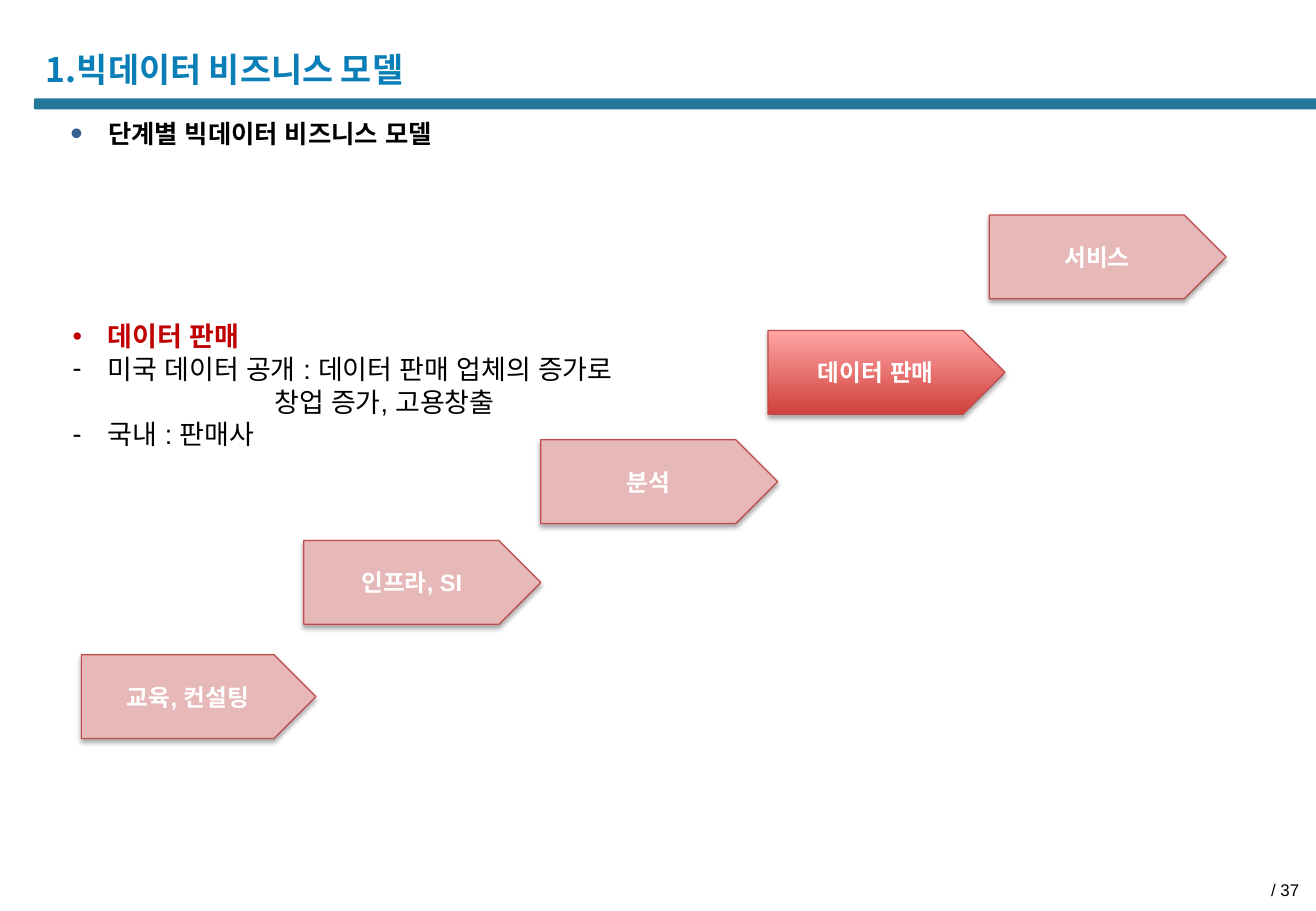
from lxml.etree import SubElement
from pptx import Presentation
from pptx.dml.color import RGBColor
from pptx.enum.shapes import MSO_SHAPE
from pptx.enum.text import MSO_ANCHOR, PP_ALIGN
from pptx.oxml.ns import qn
from pptx.util import Pt

PX = 9144
TITLE_BLUE = RGBColor(0x0A, 0x7F, 0xB7)
BAR_BLUE = RGBColor(0x22, 0x77, 0x9B)
BULLET_BLUE = RGBColor(0x37, 0x60, 0x92)
BLACK = RGBColor(0, 0, 0)
WHITE = RGBColor(0xFF, 0xFF, 0xFF)
RED = RGBColor(0xC0, 0, 0)
PALE_RED = RGBColor(0xE6, 0xB9, 0xB8)
EDGE_RED = RGBColor(0xBF, 0x4C, 0x48)
DEEP_RED = RGBColor(0xD1, 0x40, 0x3C)
LIGHT_RED = RGBColor(0xFF, 0xA6, 0xA5)


class Deck:
    font = "Arial"
    title_font = "Noto Sans CJK KR"

    def __init__(self, width, height):
        self.prs = Presentation()
        self.prs.slide_width = width * PX
        self.prs.slide_height = height * PX
        self.s = self.prs.slides.add_slide(self.prs.slide_layouts[6])

    def style(self, p, size, color, bold=False, font=None):
        for r in p.runs:
            r.font.size = Pt(size)
            r.font.bold = bold
            r.font.color.rgb = color
            r.font.name = font or self.font
            SubElement(r.font._element, qn("a:ea"), typeface=font or self.font)

    def bullet(self, p, char, margin, hang, color=None, percent=100):
        pPr = p._p.get_or_add_pPr()
        pPr.set("marL", str(margin * PX))
        pPr.set("indent", str(-hang * PX))
        if not char:
            SubElement(pPr, qn("a:buNone"))
            return
        if color is not None:
            SubElement(SubElement(pPr, qn("a:buClr")), qn("a:srgbClr"), val=str(color))
        SubElement(pPr, qn("a:buSzPct"), val=str(percent * 1000))
        SubElement(pPr, qn("a:buFont"), typeface=self.font)
        SubElement(pPr, qn("a:buChar"), char=char)

    def box(self, x, y, w, h, inset=(10, 5), anchor=MSO_ANCHOR.TOP):
        tf = self.s.shapes.add_textbox(x * PX, y * PX, w * PX, h * PX).text_frame
        tf.word_wrap = True
        tf.vertical_anchor = anchor
        tf.margin_left = tf.margin_right = inset[0] * PX
        tf.margin_top = tf.margin_bottom = inset[1] * PX
        return tf

    def text(self, x, y, w, h, text, size, color, bold=False, font=None,
             align=PP_ALIGN.LEFT, **frame):
        p = self.box(x, y, w, h, **frame).paragraphs[0]
        p.text = text
        p.alignment = align
        self.style(p, size, color, bold, font)
        return p

    def bullets(self, x, y, w, h, rows, size, spacing):
        tf = self.box(x, y, w, h)
        tf.text = "\n".join(row[0] for row in rows)
        for p, (_, char, margin, hang, color, bold) in zip(tf.paragraphs, rows):
            p.line_spacing = Pt(spacing)
            self.bullet(p, char, margin, hang)
            self.style(p, size, color, bold)

    def bar(self, x, y, w, h):
        sp = self.s.shapes.add_shape(MSO_SHAPE.ROUNDED_RECTANGLE, x * PX, y * PX, w * PX, h * PX)
        sp.adjustments[0] = 0.13
        sp.shadow.inherit = False
        sp.fill.solid()
        sp.fill.fore_color.rgb = BAR_BLUE
        sp.line.fill.background()

    def step(self, x, y, w, h, label, active):
        sp = self.s.shapes.add_shape(MSO_SHAPE.PENTAGON, x * PX, y * PX, w * PX, h * PX)
        if active:
            sp.fill.gradient()
            sp.fill.gradient_angle = 90
            for stop, color in zip(sp.fill.gradient_stops, (DEEP_RED, LIGHT_RED)):
                stop.color.rgb = color
        else:
            sp.fill.solid()
            sp.fill.fore_color.rgb = PALE_RED
        sp.line.color.rgb = EDGE_RED
        sp.line.width = Pt(0.75)
        sp.shadow.inherit = False
        shadow = SubElement(sp._element.spPr.find(qn("a:effectLst")), qn("a:outerShdw"),
                            blurRad=str(Pt(3.1)), dist=str(Pt(1.8)),
                            dir="5400000", rotWithShape="0")
        clr = SubElement(shadow, qn("a:srgbClr"), val=str(BLACK))
        SubElement(clr, qn("a:alpha"), val="35000")
        tf = sp.text_frame
        tf.text = label
        tf.word_wrap = True
        tf.vertical_anchor = MSO_ANCHOR.MIDDLE
        tf.margin_top = tf.margin_bottom = 0
        p = tf.paragraphs[0]
        p.alignment = PP_ALIGN.CENTER
        self.style(p, 14, WHITE, True)


def main():
    deck = Deck(1083, 750)
    deck.bar(28, 81, 1058, 9)
    deck.text(28, 33, 642, 47, "1.빅데이터 비즈니스 모델", 20, TITLE_BLUE, True,
              deck.title_font, anchor=MSO_ANCHOR.MIDDLE)
    deck.text(826, 719, 253, 23, "/ 37", 10, BLACK, align=PP_ALIGN.RIGHT)
    heading = deck.text(58, 97, 713, 25, "단계별 빅데이터 비즈니스 모델", 15, BLACK, True,
                        inset=(0, 0))
    deck.bullet(heading, "•", 31, 31, BULLET_BLUE, 140)

    steps = [
        (67, 539, 193, "교육, 컨설팅"),
        (250, 445, 195, "인프라, SI"),
        (445, 362, 195, "분석"),
        (632, 272, 195, "데이터 판매"),
        (814, 177, 195, "서비스"),
    ]
    for x, y, w, label in steps:
        deck.step(x, y, w, 69, label, label == "데이터 판매")

    deck.bullets(50, 258, 740, 118, [
        ("데이터 판매", "•", 29, 29, RED, True),
        ("미국 데이터 공개 : 데이터 판매 업체의 증가로", "-", 29, 29, BLACK, False),
        ("창업 증가, 고용창출", None, 166, 0, BLACK, False),
        ("국내 : 판매사", "-", 29, 29, BLACK, False),
    ], 16, 19.4)
    deck.prs.save("out.pptx")


if __name__ == "__main__":
    main()
